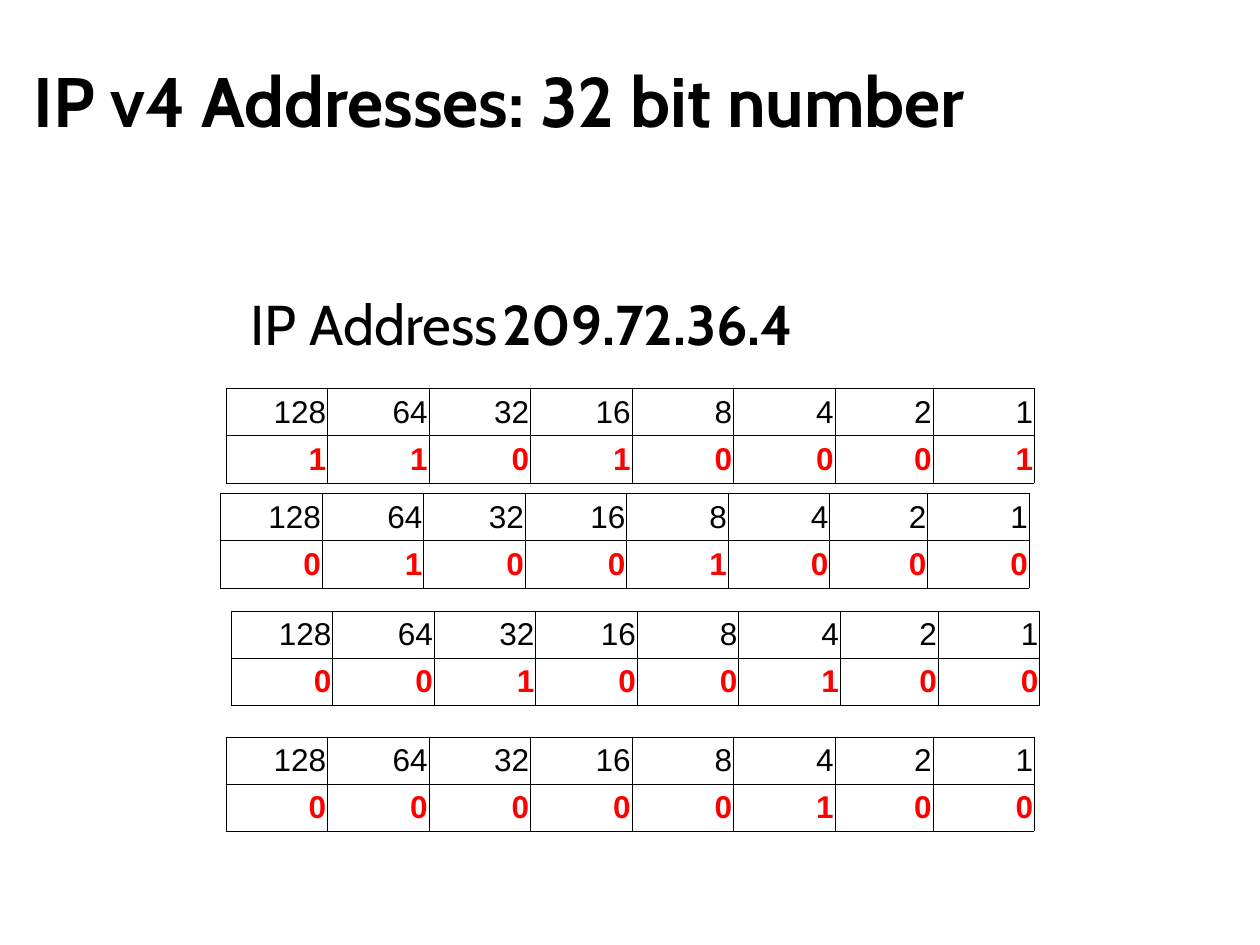
import lxml.etree
import pptx
import pptx.dml.color
import pptx.enum.text
import pptx.oxml.ns
import pptx.util

Pt = pptx.util.Pt
Anchor = pptx.enum.text.MSO_ANCHOR
Align = pptx.enum.text.PP_ALIGN
qn = pptx.oxml.ns.qn

BLACK = pptx.dml.color.RGBColor(0, 0, 0)
RED = pptx.dml.color.RGBColor(255, 0, 0)

ADDRESS = "209.72.36.4"
WEIGHTS = [2 ** power for power in range(7, -1, -1)]
TABLE_CORNERS = [(129, 222), (126, 282), (132, 349), (129, 421)]


class SlideBuilder:
    """Holds the style and the slide being filled."""

    text_font = "Cabin"
    table_font = "Arial"
    column_widths = [58] * 6 + [56, 58]
    row_height = 22.5
    border_width = 0.25

    def __init__(self, page):
        self.page = page

    def set_font(self, para, name, size, color=BLACK, bold=None):
        font = para.font
        font.name, font.size, font.bold = name, Pt(size), bold
        font.color.rgb = color

    def place(self, box, left, top, width, height, anchor):
        box.left, box.top, box.width, box.height = map(Pt, (left, top, width, height))
        frame = box.text_frame
        frame.auto_size = pptx.enum.text.MSO_AUTO_SIZE.NONE
        frame.word_wrap = True
        frame.vertical_anchor = anchor
        para = frame.paragraphs[0]
        para.alignment = Align.LEFT
        para.space_before = Pt(0)
        return para

    def title(self, text):
        para = self.place(self.page.shapes.title, 12, 12, 648, 90, Anchor.MIDDLE)
        para.text = text
        self.set_font(para, self.text_font, 40, bold=True)

    def address_line(self, label, address):
        box = self.page.placeholders[1]
        para = self.place(box, 66, 162, 606, 48, Anchor.TOP)
        box.text_frame.margin_left = Pt(77)
        # No bullet, and one tab stop between label and address
        properties = para._p.get_or_add_pPr()
        properties.set("marL", "0")
        properties.set("indent", "0")
        lxml.etree.SubElement(properties, qn("a:buNone"))
        stops = lxml.etree.SubElement(properties, qn("a:tabLst"))
        lxml.etree.SubElement(stops, qn("a:tab"), pos=str(Pt(179)), algn="l")
        para.add_run().text = label + "\t"
        span = para.add_run()
        span.text = address
        span.font.bold = True
        self.set_font(para, self.text_font, 32)

    def cell(self, cell, value, color, bold):
        cell.margin_left = cell.margin_right = Pt(0.7)
        cell.margin_top = cell.margin_bottom = Pt(3.4)
        cell.vertical_anchor = Anchor.BOTTOM
        cell.fill.background()
        para = cell.text_frame.paragraphs[0]
        para.text = str(value)
        para.alignment = Align.RIGHT
        self.set_font(para, self.table_font, 18, color, bold)
        # Thin black border on every side
        properties = cell._tc.get_or_add_tcPr()
        for index, side in enumerate(("a:lnL", "a:lnR", "a:lnT", "a:lnB")):
            line = lxml.etree.Element(qn(side), w=str(Pt(self.border_width)))
            fill = lxml.etree.SubElement(line, qn("a:solidFill"))
            lxml.etree.SubElement(fill, qn("a:srgbClr"), val=str(BLACK))
            properties.insert(index, line)

    def octet_table(self, octet, left, top):
        rows = [(WEIGHTS, BLACK, False), (f"{octet:08b}", RED, True)]
        table = self.page.shapes.add_table(
            len(rows), len(WEIGHTS), Pt(left), Pt(top),
            Pt(sum(self.column_widths)), Pt(self.row_height * len(rows))).table
        table.first_row = table.horz_banding = False
        for column, width in zip(table.columns, self.column_widths):
            column.width = Pt(width)
        for row, (values, color, bold) in zip(table.rows, rows):
            row.height = Pt(self.row_height)
            for cell, value in zip(row.cells, values):
                self.cell(cell, value, color, bold)


def main():
    deck = pptx.Presentation()
    deck.slide_width, deck.slide_height = Pt(720), Pt(540)
    builder = SlideBuilder(deck.slides.add_slide(deck.slide_layouts[1]))

    # Heading and address
    builder.title("IP v4 Addresses: 32 bit number")
    builder.address_line("IP Address", ADDRESS)

    # One table of bits for each octet
    for octet, (left, top) in zip(ADDRESS.split("."), TABLE_CORNERS):
        builder.octet_table(int(octet), left, top)

    deck.save("out.pptx")


if __name__ == "__main__":
    main()
